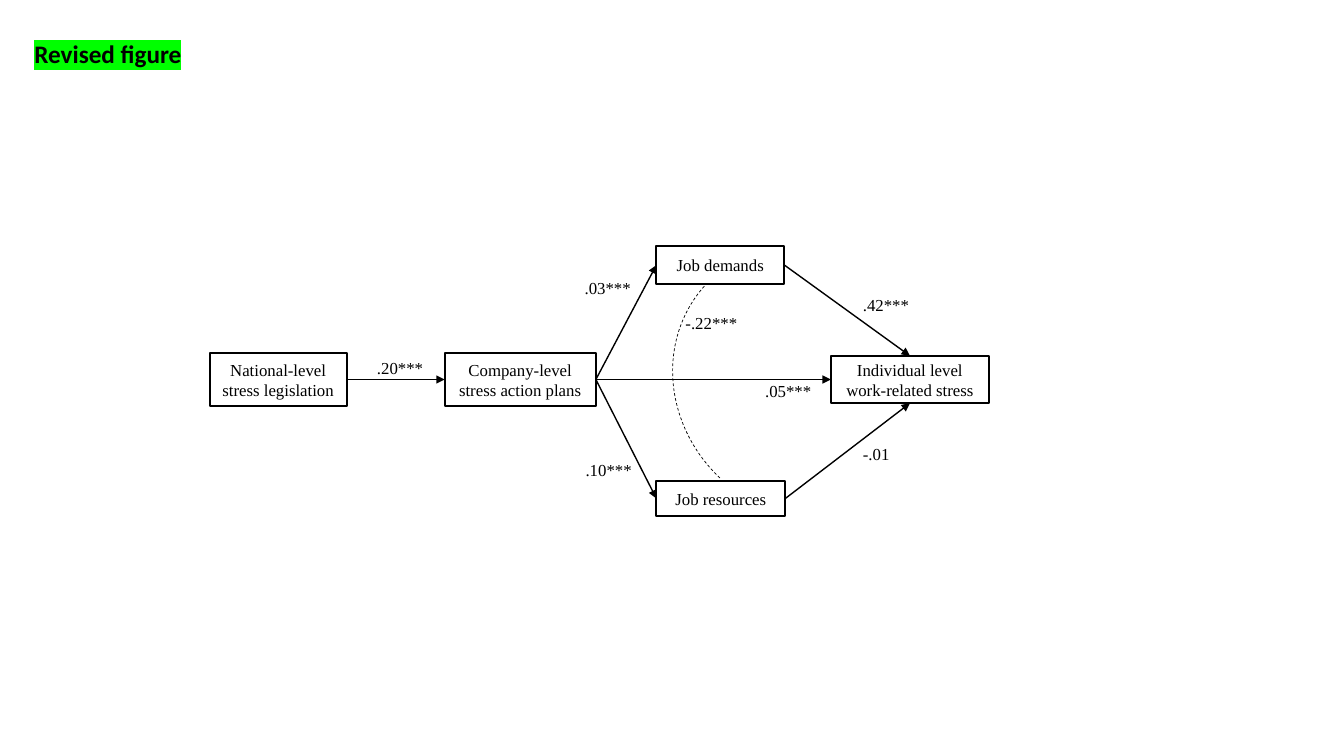
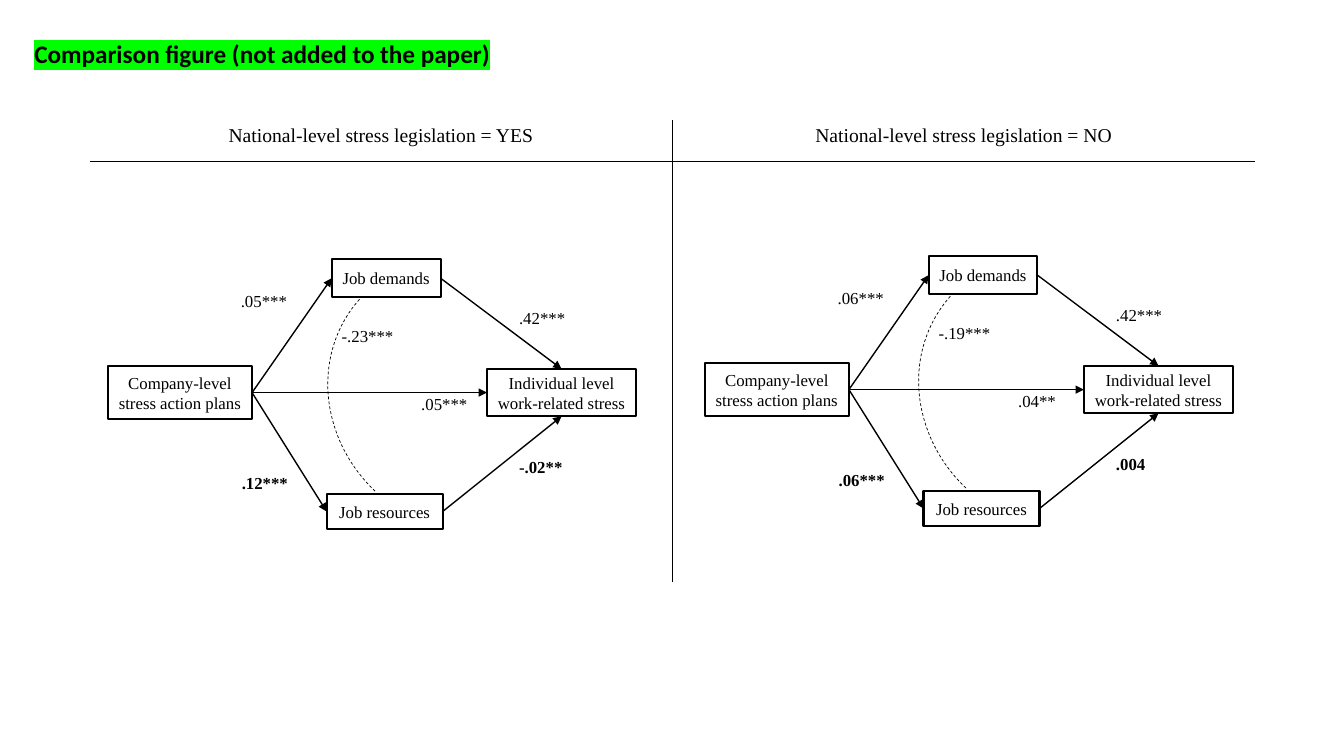
from lxml import etree
from pptx import Presentation
from pptx.dml.color import RGBColor
from pptx.enum.dml import MSO_LINE
from pptx.enum.shapes import MSO_CONNECTOR, MSO_SHAPE
from pptx.enum.text import MSO_ANCHOR, MSO_AUTO_SIZE, PP_ALIGN
from pptx.oxml.ns import qn
from pptx.util import Pt

RECTANGLE = MSO_SHAPE.RECTANGLE
ARC = MSO_SHAPE.ARC
STRAIGHT = MSO_CONNECTOR.STRAIGHT
DASH = MSO_LINE.DASH
TOP_ANCHOR = MSO_ANCHOR.TOP
MIDDLE_ANCHOR = MSO_ANCHOR.MIDDLE
NO_AUTOFIT = MSO_AUTO_SIZE.NONE
GROW = MSO_AUTO_SIZE.SHAPE_TO_FIT_TEXT
LEFT_ALIGN = PP_ALIGN.LEFT
CENTER = PP_ALIGN.CENTER

EMU_PER_PX = 9144
TITLE_ONLY = 5
TOP, LEFT, BOTTOM, RIGHT = range(4)
COLORS = {"ink": "000000", "paper": "FFFFFF", "highlight": "00FF00"}

TITLE_FONT = {"name": "Calibri", "size": Pt(18), "bold": True}
BODY_FONT = {"name": "Times New Roman", "size": Pt(12), "bold": False}
BOLD_FONT = {**BODY_FONT, "bold": True}
HEADER_FONT = {**BODY_FONT, "size": Pt(14)}

TITLE_FRAME = {"word_wrap": True, "auto_size": NO_AUTOFIT, "vertical_anchor": TOP_ANCHOR}
LABEL_FRAME = {"word_wrap": True, "auto_size": GROW, "vertical_anchor": TOP_ANCHOR}
BOX_FRAME = {"word_wrap": True, "auto_size": NO_AUTOFIT, "vertical_anchor": MIDDLE_ANCHOR}

WIDE_MODEL = {"company": 150, "demands": (60, 127), "resources": (60, 128), "individual": 157}
NARROW_MODEL = {"company": 143, "demands": (79, 108), "resources": (74, 115), "individual": 148}
LABEL_PLACES = {
    "direct": (158, 129, 84),
    "demands to stress": (255, 43, 84),
    "resources to stress": (255, 191, 68),
    "plans to demands": (-21, 27, 82),
    "plans to resources": (-20, 207, 84),
    "covariance": (79, 61, 88),
}


def px(*lengths):
    return [length * EMU_PER_PX for length in lengths]


def apply(target, values):
    for name, value in values.items():
        setattr(target, name, value)


def rgb(name):
    return RGBColor.from_string(COLORS[name])


class Deck:
    def __init__(self, width, height):
        self.presentation = Presentation()
        size = px(width, height)
        apply(self.presentation, {"slide_width": size[0], "slide_height": size[1]})
        self.slide = None
        self.shapes = None

    def add_slide(self, title):
        layout = self.presentation.slide_layouts[TITLE_ONLY]
        self.slide = self.presentation.slides.add_slide(layout)
        shape = self.slide.shapes.title
        apply(shape, dict(zip(("left", "top", "width", "height"), px(24, 33, 600, 40))))
        apply(shape.text_frame, TITLE_FRAME)
        self.add_text(shape.text_frame, title, TITLE_FONT, LEFT_ALIGN)
        for properties in shape.element.iter(qn("a:rPr")):
            highlight = etree.Element(qn("a:highlight"))
            etree.SubElement(highlight, qn("a:srgbClr"), val=COLORS["highlight"])
            properties.find(qn("a:latin")).addprevious(highlight)

    def start_group(self):
        self.shapes = self.slide.shapes.add_group_shape().shapes

    def add_text(self, text_frame, text, font, alignment):
        paragraph = text_frame.paragraphs[0]
        paragraph.alignment = alignment
        run = paragraph.add_run()
        run.text = text
        apply(run.font, font)
        run.font.color.rgb = rgb("ink")

    def outline(self, shape, width):
        shape.line.color.rgb = rgb("ink")
        shape.line.width = Pt(width)

    def box(self, text, left, top, width, height):
        shape = self.shapes.add_shape(RECTANGLE, *px(left, top, width, height))
        shape.shadow.inherit = False
        shape.fill.solid()
        shape.fill.fore_color.rgb = rgb("paper")
        self.outline(shape, 1.5)
        apply(shape.text_frame, BOX_FRAME)
        inset = px(7)[0]
        apply(shape.text_frame, {"margin_left": inset, "margin_right": inset})
        self.add_text(shape.text_frame, text, BODY_FONT, CENTER)
        return shape

    def label(self, text, left, top, width, font=BODY_FONT):
        shape = self.shapes.add_textbox(*px(left, top, width, 30))
        apply(shape.text_frame, LABEL_FRAME)
        self.add_text(shape.text_frame, text, font, LEFT_ALIGN)

    def arrow(self, source, source_side, target, target_side):
        connector = self.shapes.add_connector(
            STRAIGHT, source.left, source.top, target.left, target.top)
        connector.begin_connect(source, source_side)
        connector.end_connect(target, target_side)
        self.outline(connector, 1)
        properties = connector.element.spPr
        etree.SubElement(properties.find(qn("a:ln")), qn("a:tailEnd"), type="triangle")
        etree.SubElement(properties, qn("a:effectLst"))

    def dashed_arc(self, left, top):
        shape = self.shapes.add_shape(ARC, *px(left, top, 284, 262))
        shape.shadow.inherit = False
        shape.rotation = 223.4
        shape.fill.background()
        self.outline(shape, 0.5)
        shape.line.dash_style = DASH

    def comparison_table(self, headers):
        frame = self.slide.shapes.add_table(2, len(headers), *px(89, 119, 1156, 458))
        table = frame.table
        apply(table, {"first_row": False, "horz_banding": False})
        for row, height in zip(table.rows, px(41, 417)):
            row.height = height
        for column, header in enumerate(headers):
            table.columns[column].width = px(578)[0]
            self.add_text(table.cell(0, column).text_frame, header, HEADER_FONT, CENTER)
        for cell in table.iter_cells():
            cell.fill.background()
        inner_sides = ("RB", "LB", "RT", "LT")
        for cell, inner in zip(frame.element.iter(qn("a:tc")), inner_sides):
            self.cell_borders(cell.find(qn("a:tcPr")), inner)

    def cell_borders(self, properties, inner):
        for position, side in enumerate("LRTB"):
            border = etree.Element(qn(f"a:ln{side}"), w=str(Pt(1)))
            if side in inner:
                fill = etree.SubElement(border, qn("a:solidFill"))
                etree.SubElement(fill, qn("a:srgbClr"), val=COLORS["ink"])
            else:
                etree.SubElement(border, qn("a:noFill"))
            properties.insert(position, border)

    def path_model(self, left, top, model, arc_left, labels, bold=()):
        self.start_group()
        demands_left, demands_width = model["demands"]
        resources_left, resources_width = model["resources"]
        company = self.box("Company-level stress action plans",
                           left - model["company"], top + 106, model["company"], 53)
        demands = self.box("Job demands", left + demands_left, top, demands_width, 38)
        resources = self.box("Job resources",
                             left + resources_left, top + 233, resources_width, 35)
        individual = self.box("Individual level work-related stress",
                              left + 233, top + 109, model["individual"], 47)
        for target in (demands, resources, individual):
            self.arrow(company, RIGHT, target, LEFT)
        self.arrow(demands, RIGHT, individual, TOP)
        self.arrow(resources, RIGHT, individual, BOTTOM)
        for (name, place), text in zip(LABEL_PLACES.items(), labels):
            label_left, label_top, width = place
            font = BOLD_FONT if name in bold else BODY_FONT
            self.label(text, left + label_left, top + label_top, width, font)
        self.dashed_arc(left + arc_left, top + 4)
        return company


def main():
    deck = Deck(1333, 750)

    deck.add_slide("Revised figure")
    company = deck.path_model(591, 244, WIDE_MODEL, 71,
                              (".05***", ".42***", "-.01", ".03***", ".10***", "-.22***"))
    national = deck.box("National-level stress legislation", 208, 350, 136, 53)
    deck.arrow(national, RIGHT, company, LEFT)
    deck.label(".20***", 364, 350, 81)

    deck.add_slide("Comparison figure (not added to the paper)")
    deck.comparison_table(("National-level stress legislation = YES",
                           "National-level stress legislation = NO"))
    resource_paths = ("resources to stress", "plans to resources")
    deck.path_model(250, 257, NARROW_MODEL, 70,
                    (".05***", ".42***", "-.02**", ".05***", ".12***", "-.23***"),
                    resource_paths)
    deck.path_model(842, 254, NARROW_MODEL, 64,
                    (".04**", ".42***", ".004", ".06***", ".06***", "-.19***"),
                    resource_paths)

    deck.presentation.save("out.pptx")


if __name__ == "__main__":
    main()
